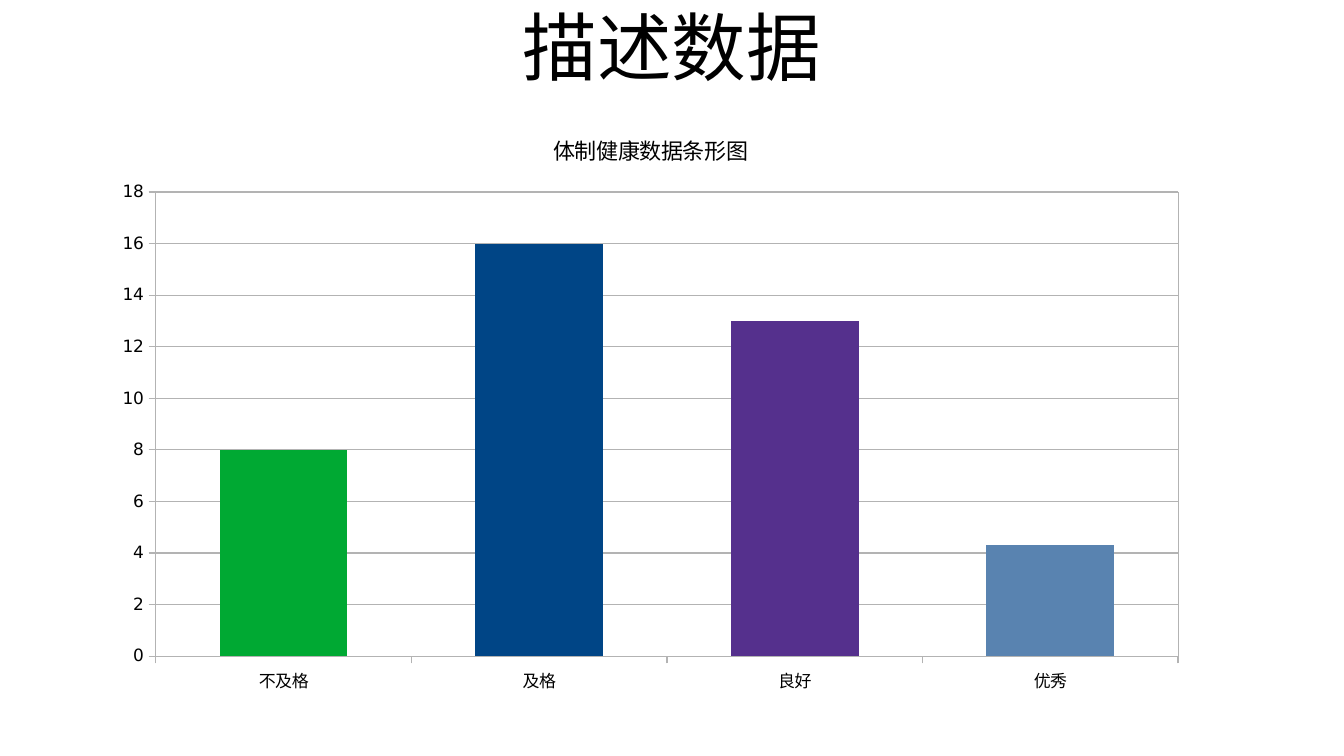
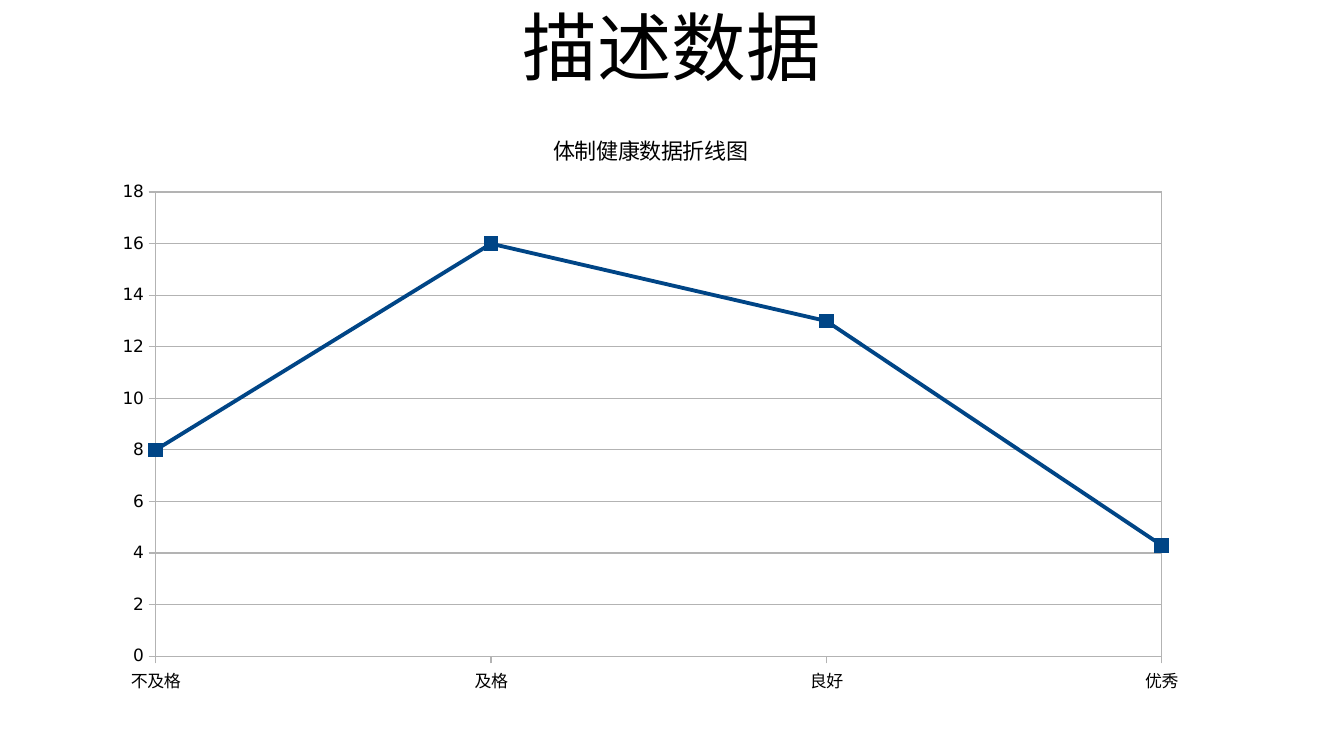
from dataclasses import dataclass

from lxml.etree import fromstring
from pptx import Presentation
from pptx.chart.data import CategoryChartData
from pptx.dml.color import RGBColor
from pptx.enum.chart import XL_CHART_TYPE as ChartType
from pptx.enum.chart import XL_MARKER_STYLE as Marker
from pptx.enum.chart import XL_TICK_MARK as Tick
from pptx.enum.text import MSO_ANCHOR, MSO_AUTO_SIZE, PP_ALIGN
from pptx.oxml.ns import nsdecls, qn
from pptx.util import Inches, Pt


@dataclass(frozen=True)
class Theme:
    """Colours, fonts and type sizes shared by the slides."""
    ink: str = "000000"
    rule: str = "B3B3B3"
    series: str = "004586"
    grades: tuple = ("00A933", "004586", "55308D", "5983B0")
    font: str = "DejaVu Sans"
    chart_font: str = "Arial"
    title_size: int = 44
    caption_size: int = 13
    label_size: int = 10


THEME = Theme()
SLIDE_SIZE = (Inches(11.02), Inches(6.2))
TITLE_BOX = (0.05, -0.024, 0.9, 0.168)
CHART_BOX = (0.075, 0.144, 0.818, 0.787)
GRADES = ("不及格", "及格", "良好", "优秀")
SHARES = (8, 16, 13, 4.3)


def place(box):
    """Turn shares of the slide into left, top, width and height."""
    return [round(share * SLIDE_SIZE[i % 2]) for i, share in enumerate(box)]


def style_font(font, size, name=THEME.font):
    """Apply typeface, size and ink colour."""
    font.name, font.size, font.bold = name, Pt(size), False
    font.color.rgb = RGBColor.from_string(THEME.ink)


def style_line(line, color=THEME.rule, width=0):
    """Apply a solid line, hairline by default."""
    line.color.rgb = RGBColor.from_string(color)
    line.width = Pt(width)


def style_fill(fill, color):
    """Apply a solid fill."""
    fill.solid()
    fill.fore_color.rgb = RGBColor.from_string(color)


def add_heading(slide, text, box):
    """Fill the title placeholder within the given box."""
    heading = slide.shapes.title
    heading.left, heading.top, heading.width, heading.height = place(box)
    frame = heading.text_frame
    frame.auto_size, frame.word_wrap = MSO_AUTO_SIZE.NONE, True
    frame.vertical_anchor = MSO_ANCHOR.MIDDLE
    frame.margin_left = frame.margin_right = frame.margin_top = frame.margin_bottom = 0
    paragraph = frame.paragraphs[0]
    paragraph.alignment = PP_ALIGN.CENTER
    run = paragraph.add_run()
    run.text = text
    style_font(run.font, THEME.title_size)


def frame_plot(chart, plot_box):
    """Fix the inner plot area and outline it with the rule colour."""
    area = chart.element.find(f".//{qn('c:plotArea')}")
    for layout in area.findall(qn("c:layout")):
        area.remove(layout)
    sides = "".join(f'<c:{side} val="{share}"/>' for side, share in zip("xywh", plot_box))
    area.insert(0, fromstring(
        f'<c:layout {nsdecls("c")}><c:manualLayout><c:layoutTarget val="inner"/>'
        f'<c:xMode val="edge"/><c:yMode val="edge"/>{sides}</c:manualLayout></c:layout>'))
    area.append(fromstring(
        f'<c:spPr {nsdecls("c", "a")}><a:noFill/><a:ln w="0"><a:solidFill>'
        f'<a:srgbClr val="{THEME.rule}"/></a:solidFill></a:ln></c:spPr>'))


def add_grade_chart(slide, kind, caption, box, plot_box):
    """Place a captioned chart of the grade shares and return it."""
    grades = CategoryChartData()
    grades.categories = GRADES
    grades.add_series("Series 1", SHARES)
    chart = slide.shapes.add_chart(kind, *place(box), grades).chart
    chart.has_legend = False
    style_font(chart.font, THEME.label_size, THEME.chart_font)
    chart.has_title = True
    run = chart.chart_title.text_frame.paragraphs[0].add_run()
    run.text = caption
    style_font(run.font, THEME.caption_size)
    chart.chart_title.include_in_layout = False
    for axis in (chart.category_axis, chart.value_axis):
        axis.major_tick_mark, axis.minor_tick_mark = Tick.OUTSIDE, Tick.NONE
        style_font(axis.tick_labels.font, THEME.label_size)
        style_line(axis.format.line)
    scale = chart.value_axis
    scale.minimum_scale, scale.maximum_scale, scale.major_unit = 0, 18, 2
    scale.has_major_gridlines = True
    style_line(scale.major_gridlines.format.line)
    chart.plots[0].vary_by_categories = False
    frame_plot(chart, plot_box)
    return chart


def bar_slide(slide):
    """Show the grades as columns, one colour each."""
    add_heading(slide, "描述数据", TITLE_BOX)
    chart = add_grade_chart(slide, ChartType.COLUMN_CLUSTERED, "体制健康数据条形图",
                            CHART_BOX, (0.05, 0.14, 0.93, 0.78))
    plot = chart.plots[0]
    plot.gap_width = 100
    columns = plot.series[0]
    style_fill(columns.format.fill, THEME.series)
    for index, color in enumerate(THEME.grades):
        style_fill(columns.points[index].format.fill, color)


def line_slide(slide):
    """Show the grades as a line running from edge to edge."""
    add_heading(slide, "描述数据", TITLE_BOX)
    chart = add_grade_chart(slide, ChartType.LINE_MARKERS, "体制健康数据折线图",
                            CHART_BOX, (0.05, 0.14, 0.915, 0.78))
    chart.element.find(f".//{qn('c:majorUnit')}").addprevious(
        fromstring(f'<c:crossBetween {nsdecls("c")} val="midCat"/>'))
    trend = chart.plots[0].series[0]
    trend.smooth = False
    style_line(trend.format.line, THEME.series, 2.27)
    trend.marker.style, trend.marker.size = Marker.SQUARE, 8
    style_fill(trend.marker.format.fill, THEME.series)
    style_line(trend.marker.format.line, THEME.series)


def main():
    """Build and save the presentation."""
    deck = Presentation()
    deck.slide_width, deck.slide_height = SLIDE_SIZE
    title_only = deck.slide_layouts[5]
    for build in (bar_slide, line_slide):
        build(deck.slides.add_slide(title_only))
    deck.save("out.pptx")


if __name__ == "__main__":
    main()
